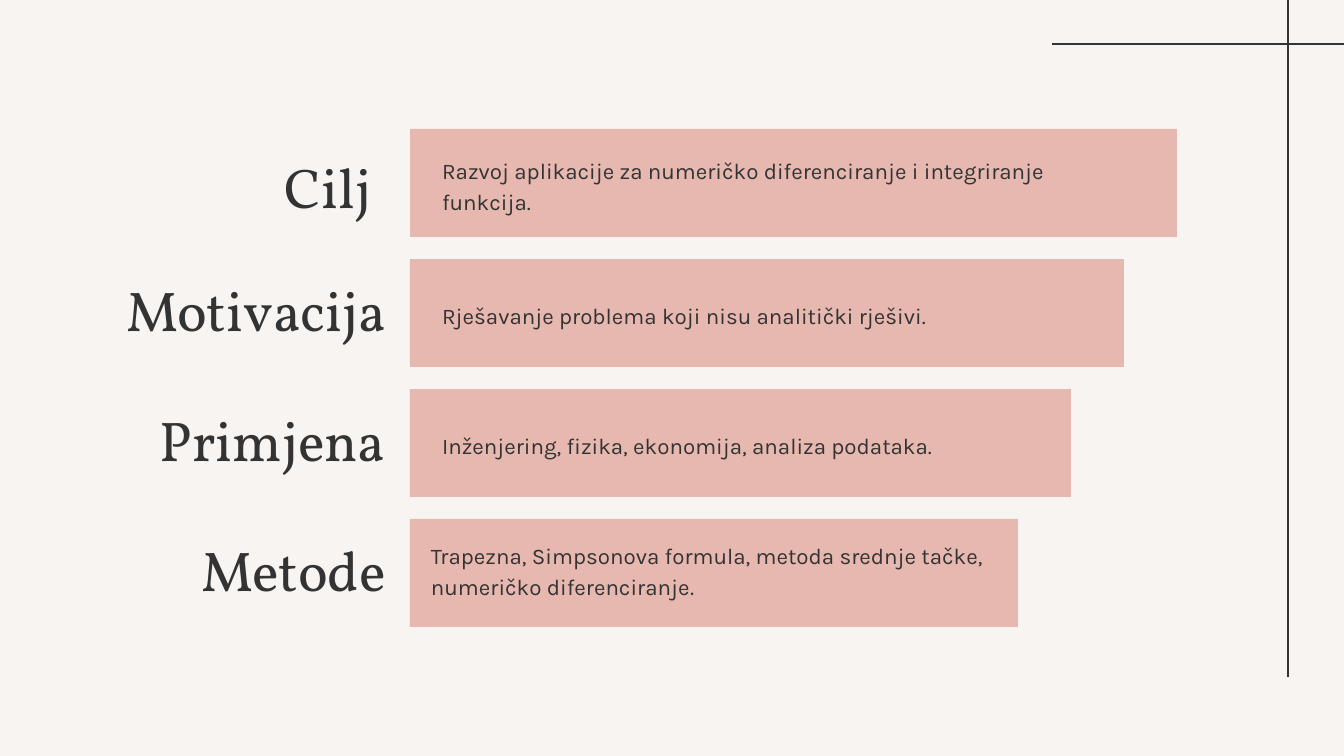
import pptx
import pptx.dml.color
import pptx.enum.shapes
import pptx.enum.text
import pptx.oxml.ns
import pptx.util
from lxml import etree

SCALE = 914400 / 134.4  # EMU in one px

PAPER = pptx.dml.color.RGBColor(0xF7, 0xF4, 0xF1)
INK = pptx.dml.color.RGBColor(0x33, 0x33, 0x33)
ROSE = pptx.dml.color.RGBColor(0xE6, 0xB8, 0xAF)

# Content: heading, its left edge and extra (top, right) inset;
# detail paragraphs of (text, font) runs, box (left, offset, width, height), indent
TOPICS = [
    dict(heading="Cilj", left=92, extra=(14, 15), indent=0,
         detail=[[("Razvoj aplikacije za numeričko diferenciranje i integriranje funkcija.", "Karla")]],
         box=(429, 13, 700, 85)),
    dict(heading="Motivacija", left=0, extra=(0, 0), indent=0,
         detail=[[("Rješavanje problema koji nisu analitički rješivi.", "Karla")]],
         box=(429, 31, 642, 48)),
    dict(heading="Primjena", left=0, extra=(0, 0), indent=0,
         detail=[[("Inženjering, fizika, ekonomija, analiza podataka.", "Karla")]],
         box=(429, 31, 566, 48)),
    dict(heading="Metode", left=59, extra=(0, 0), indent=67,
         detail=[[("Trapezna, Simpsonova formula, metoda srednje tačke,", "Karla")],
                 [("numeričko diferenciranje", "Karla"), (".", "Cambria")]],
         box=(351, 8, 827, 85)),
]
RULES = [(1052, 44, 1344, 44), (1288, 677, 1288, 0)]

# Bars: equal rows, each bar shorter than the one above
BAR_LEFT, BAR_TOP, BAR_HEIGHT, ROW_STEP = 410, 129, 108, 130
BAR_WIDTH, WIDTH_STEP = 767, 53
HEADING_RIGHT, HEADING_OFFSET, HEADING_HEIGHT = 399, 8, 93
INSET_X, INSET_Y = 13, 7


def px(value):
    return pptx.util.Emu(round(value * SCALE))


def add_text(parent, box, paragraphs, size, spacing, align, extra=(0, 0), indent=0):
    text_box = parent.shapes.add_textbox(*map(px, box))
    frame = text_box.text_frame
    frame.word_wrap = True
    frame.vertical_anchor = pptx.enum.text.MSO_ANCHOR.MIDDLE
    frame.margin_left, frame.margin_right = px(INSET_X), px(INSET_X + extra[1])
    frame.margin_top, frame.margin_bottom = px(INSET_Y + extra[0]), px(INSET_Y)
    for number, runs in enumerate(paragraphs):
        paragraph = frame.add_paragraph() if number else frame.paragraphs[0]
        paragraph.alignment = align
        paragraph.line_spacing = spacing
        if indent:
            properties = paragraph._p.get_or_add_pPr()
            properties.set("marL", str(px(indent)))
            properties.set("indent", "0")
        for text, font in runs:
            run = paragraph.add_run()
            run.text = text
            run.font.name = font
            run.font.size = pptx.util.Pt(size)
            run.font.color.rgb = INK


deck = pptx.Presentation()
deck.slide_width, deck.slide_height = px(1344), px(756)
slide = deck.slides.add_slide(deck.slide_layouts[6])
slide.background.fill.solid()
slide.background.fill.fore_color.rgb = PAPER

# Crossing corner lines
for ends in RULES:
    rule = slide.shapes.add_connector(
        pptx.enum.shapes.MSO_CONNECTOR.STRAIGHT, *map(px, ends))
    rule.line.color.rgb = INK
    rule.line.width = pptx.util.Pt(0.75)
    etree.SubElement(rule._element.spPr, pptx.oxml.ns.qn("a:effectLst"))

# One group per topic: heading, bar, detail
for row, topic in enumerate(TOPICS):
    top = BAR_TOP + row * ROW_STEP
    group = slide.shapes.add_group_shape()

    heading_box = (topic["left"], top + HEADING_OFFSET,
                   HEADING_RIGHT - topic["left"], HEADING_HEIGHT)
    add_text(group, heading_box, [[(topic["heading"], "Vollkorn")]], 30, 0.9,
             pptx.enum.text.PP_ALIGN.RIGHT, extra=topic["extra"])

    bar = group.shapes.add_shape(
        pptx.enum.shapes.MSO_SHAPE.RECTANGLE, px(BAR_LEFT), px(top),
        px(BAR_WIDTH - row * WIDTH_STEP), px(BAR_HEIGHT))
    bar.shadow.inherit = False
    bar.fill.solid()
    bar.fill.fore_color.rgb = ROSE
    bar.line.fill.background()

    left, offset, width, height = topic["box"]
    add_text(group, (left, top + offset, width, height), topic["detail"], 12, 1.15,
             pptx.enum.text.PP_ALIGN.LEFT, indent=topic["indent"])

deck.save("out.pptx")
